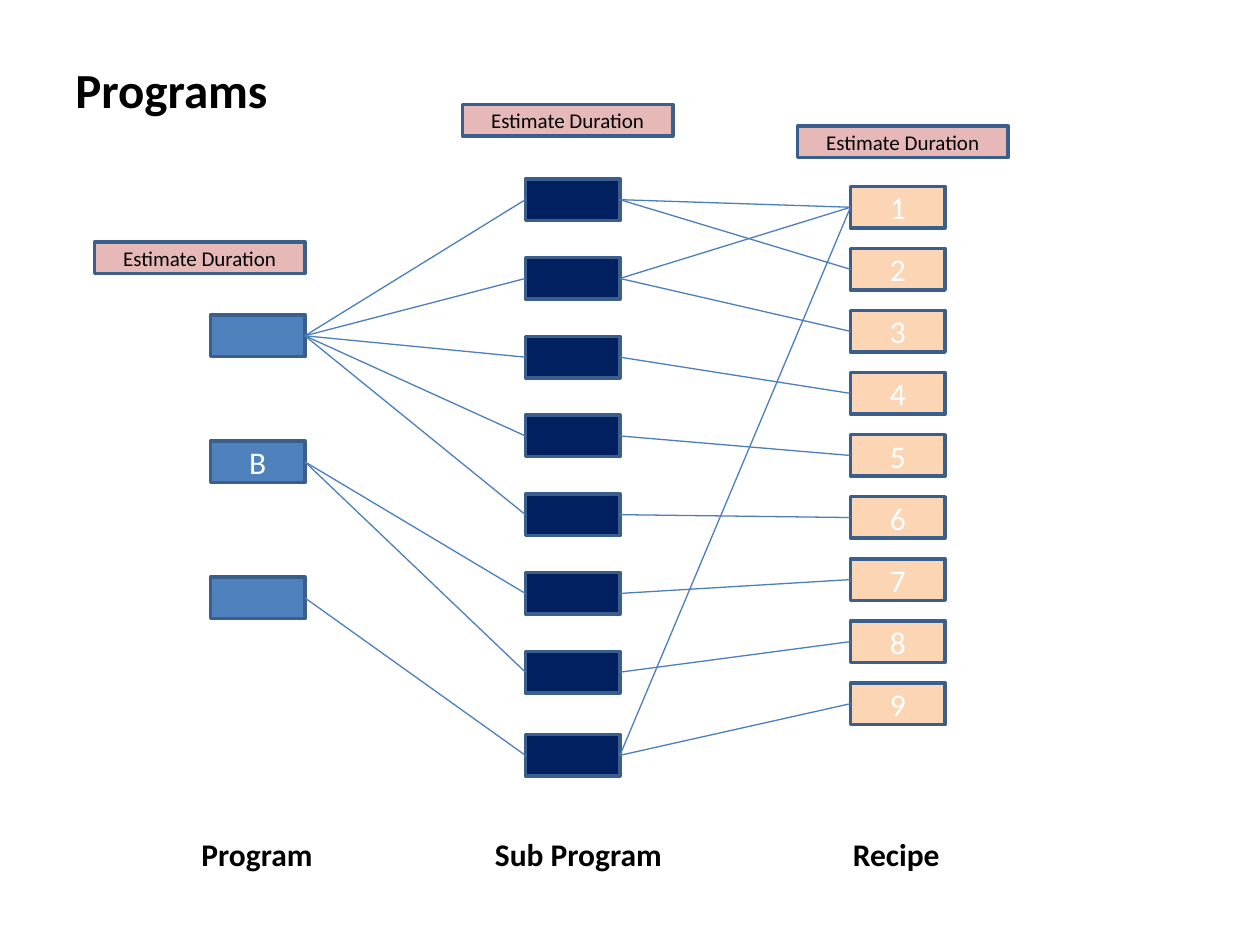
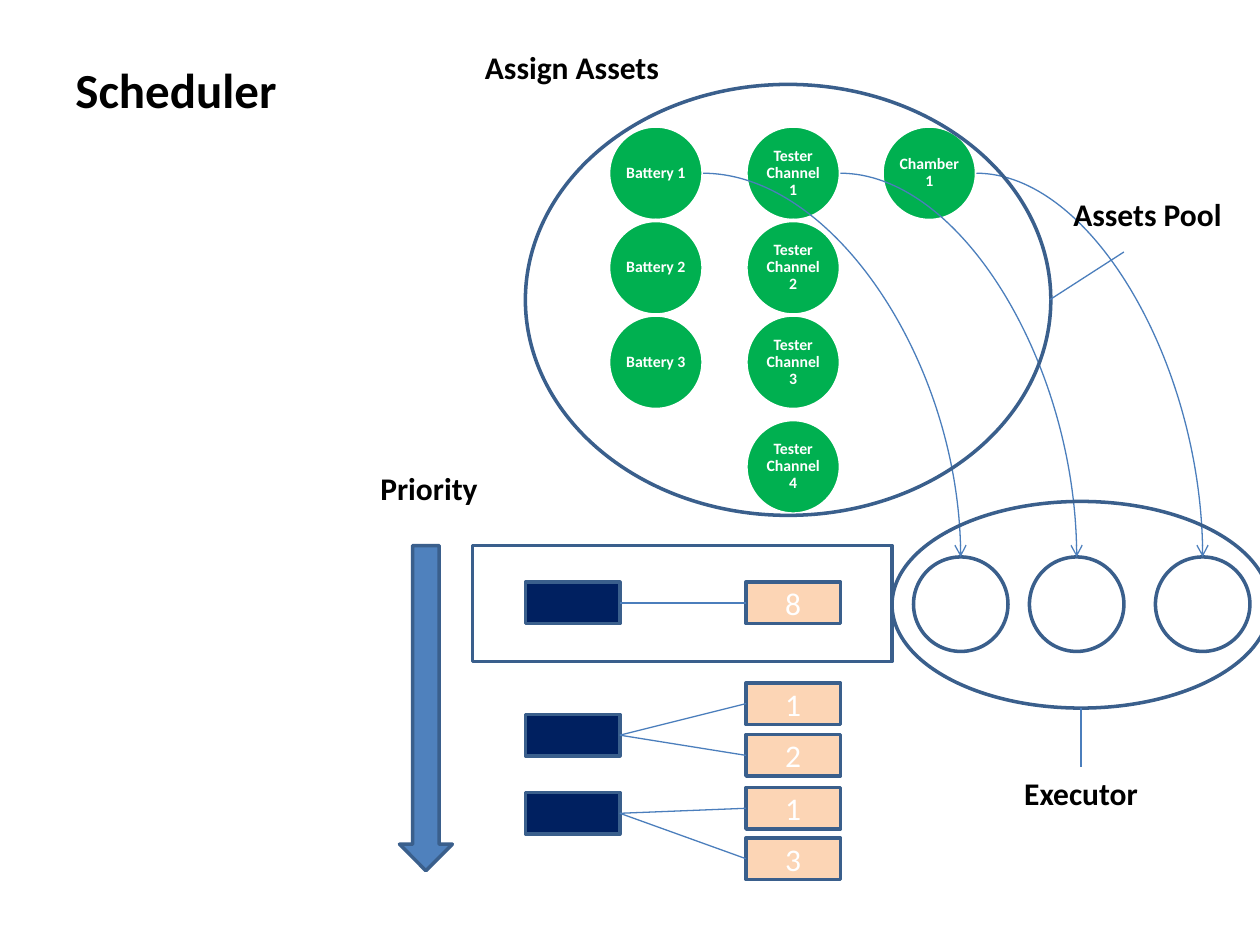
from lxml.etree import SubElement
from pptx import Presentation
from pptx.dml.color import RGBColor
from pptx.enum.shapes import MSO_CONNECTOR, MSO_SHAPE
from pptx.enum.text import MSO_ANCHOR, MSO_AUTO_SIZE, PP_ALIGN
from pptx.oxml.ns import qn
from pptx.util import Inches, Pt

# Shared look
BLACK = RGBColor(0x00, 0x00, 0x00)
WHITE = RGBColor(0xFF, 0xFF, 0xFF)
BLUE = RGBColor(0x4F, 0x81, 0xBD)
NAVY = RGBColor(0x00, 0x20, 0x60)
PEACH = RGBColor(0xFC, 0xD5, 0xB5)
PINK = RGBColor(0xE6, 0xB9, 0xB8)
GREEN = RGBColor(0x00, 0xB0, 0x50)
EDGE = RGBColor(0x3A, 0x5F, 0x8C)
LINK = RGBColor(0x4B, 0x7E, 0xBC)
FONT = "Calibri"
BOX_W, BOX_H, CIRCLE = 0.75, 0.33, 0.75
LEFT, RIGHT = 1, 3  # connection sites of a rectangle
TITLE = {"size": Pt(28), "bold": True}
LABEL = {"size": Pt(18), "bold": True}
NUMBER = {"size": Pt(18)}
SMALL = {"size": Pt(12)}
ASSET = {"size": Pt(9), "bold": True}

# Programs slide: boxes by column, and which box leads to which
PROGRAM_X, SUB_X, RECIPE_X = 1.67, 4.17, 6.75
PROGRAMS = [("", 2.5), ("B", 3.5), ("", 4.58)]
SUB_COUNT, SUB_TOP, SUB_STEP, LAST_SUB_Y = 8, 1.42, 0.625, 5.83
RECIPE_COUNT, RECIPE_TOP, RECIPE_STEP = 9, 1.48, 0.4925
SUBS_OF_PROGRAM = [(1, 2, 3, 4, 5), (6, 7), (8,)]
RECIPES_OF_SUB = [(1, 2), (1, 3), (4,), (5,), (6,), (7,), (8,), (1, 9)]
COLUMN_LABELS = [("Program", 1.5, 1.09), ("Sub Program", 3.83, 1.54),
                 ("Recipe", 6.67, 0.89)]
ESTIMATES = [(0.75, 1.92), (3.67, 0.83), (6.33, 1)]

# Scheduler slide: queue of (sub program y, [(recipe, y)])
QUEUE_X = 5.92
QUEUE = [(4.62, [("8", 4.62)]),
         (5.67, [("1", 5.42), ("2", 5.83)]),
         (6.29, [("1", 6.25), ("3", 6.65)])]
ASSET_ROWS = [1, 1.75, 2.5, 3.33]
ASSET_COLUMNS = [
    (4.83, ["Battery 1", "Battery 2", "Battery 3"]),
    (5.92, [f"Tester Channel {n}" for n in range(1, 5)]),
    (7, ["Chamber 1"]),
]
SLOT_XS, SLOT_Y = [7.25, 8.17, 9.17], 4.42
SCHEDULER_LABELS = [("Assign Assets", 3.75, 0.33, 1.59),
                    ("Priority", 2.92, 3.67, 0.98),
                    ("Executor", 8.03, 6.09, 1.11),
                    ("Assets Pool", 8.42, 1.5, 1.39)]
OUTLINES = [(MSO_SHAPE.RECTANGLE, 3.75, 4.33, 3.33, 0.92),   # running task
            (MSO_SHAPE.OVAL, 7.08, 3.98, 3, 1.64),           # executor
            (MSO_SHAPE.OVAL, 4.17, 0.67, 4.17, 3.42)]        # assets pool
POINTERS = [(8.58, 5.62, 8.58, 6.09), (8.33, 2.38, 8.92, 2)]


def write(tf, text, color, style):
    """Put one run of formatted text in a frame and return its paragraph."""
    p = tf.paragraphs[0]
    r = p.add_run()
    r.text = text
    for name, value in {"name": FONT, **style}.items():
        setattr(r.font, name, value)
    r.font.color.rgb = color
    return p


def add_label(s, text, x, y, w, h=0.4, style=LABEL):
    """Add a bold black text box that fits its text."""
    tf = s.shapes.add_textbox(*map(Inches, (x, y, w, h))).text_frame
    tf.word_wrap = False
    tf.auto_size = MSO_AUTO_SIZE.SHAPE_TO_FIT_TEXT
    write(tf, text, BLACK, style)


def add_shape(s, kind, x, y, w, h, fill=None, edge=EDGE):
    """Add a preset shape with a 2 pt edge; no fill unless one is given."""
    sp = s.shapes.add_shape(kind, *map(Inches, (x, y, w, h)))
    sp.shadow.inherit = False
    if fill is None:
        sp.fill.background()
    else:
        sp.fill.solid()
        sp.fill.fore_color.rgb = fill
    sp.line.color.rgb = edge
    sp.line.width = Pt(2)
    return sp


def write_centred(sp, text, color, style):
    """Write text in the middle of a shape and return its paragraph."""
    sp.text_frame.vertical_anchor = MSO_ANCHOR.MIDDLE
    sp.text_frame.word_wrap = True
    p = write(sp.text_frame, text, color, style)
    p.alignment = PP_ALIGN.CENTER
    return p


def add_box(s, x, y, fill, text=""):
    """Add a program, sub program or recipe box."""
    sp = add_shape(s, MSO_SHAPE.RECTANGLE, x, y, BOX_W, BOX_H, fill)
    if text:
        write_centred(sp, text, WHITE, NUMBER)
    return sp


def add_line(s, x1, y1, x2, y2, kind=MSO_CONNECTOR.STRAIGHT):
    """Add a thin blue connector without shadow."""
    cn = s.shapes.add_connector(kind, *map(Inches, (x1, y1, x2, y2)))
    cn.line.color.rgb = LINK
    cn.line.width = Pt(0.75)
    SubElement(cn._element.spPr, qn("a:effectLst"))
    return cn


def link(s, left_box, right_box):
    """Glue a line from the left edge of one box to the right edge of another."""
    cn = add_line(s, 0, 0, 1, 1)
    cn.begin_connect(right_box, LEFT)
    cn.end_connect(left_box, RIGHT)


def add_curve(s, x1, y1, x2, y2):
    """Add a quarter curve that ends in an open arrowhead."""
    cn = add_line(s, x1, y1, x2, y2, MSO_CONNECTOR.CURVE)
    spPr = cn._element.spPr
    spPr.find(qn("a:prstGeom")).set("prst", "curvedConnector2")
    SubElement(spPr.find(qn("a:ln")), qn("a:tailEnd"), type="arrow")


def add_asset(s, x, y, text):
    """Add a green asset circle."""
    sp = add_shape(s, MSO_SHAPE.OVAL, x, y, CIRCLE, CIRCLE, GREEN, WHITE)
    for side in ("left", "right", "top", "bottom"):
        setattr(sp.text_frame, f"margin_{side}", Inches(0.03))
    write_centred(sp, text, WHITE, ASSET).line_spacing = 0.9


def add_slide(prs, title, width):
    """Add a blank slide with its title."""
    s = prs.slides.add_slide(prs.slide_layouts[6])
    add_label(s, title, 0.5, 0.42, width, 0.57, TITLE)
    return s


def build_programs(prs):
    """Show how programs split into sub programs and recipes."""
    s = add_slide(prs, "Programs", 1.74)
    sub_ys = [SUB_TOP + i * SUB_STEP for i in range(SUB_COUNT - 1)] + [LAST_SUB_Y]
    programs = [add_box(s, PROGRAM_X, y, BLUE, text) for text, y in PROGRAMS]
    subs = [add_box(s, SUB_X, y, NAVY) for y in sub_ys]
    recipes = [add_box(s, RECIPE_X, RECIPE_TOP + i * RECIPE_STEP, PEACH, str(i + 1))
               for i in range(RECIPE_COUNT)]
    for boxes, targets, table in ((programs, subs, SUBS_OF_PROGRAM),
                                  (subs, recipes, RECIPES_OF_SUB)):
        for box, numbers in zip(boxes, table):
            for n in numbers:
                link(s, box, targets[n - 1])
    for text, x, w in COLUMN_LABELS:
        add_label(s, text, x, 6.58, w)
    for x, y in ESTIMATES:
        sp = add_shape(s, MSO_SHAPE.RECTANGLE, x, y, 1.67, 0.25, PINK)
        write_centred(sp, "Estimate Duration", BLACK, SMALL)


def build_scheduler(prs):
    """Show the queue by priority and the assets given to the executor."""
    s = add_slide(prs, "Scheduler", 1.82)
    for y, recipes in QUEUE:
        sub = add_box(s, SUB_X, y, NAVY)
        for text, recipe_y in recipes:
            link(s, sub, add_box(s, QUEUE_X, recipe_y, PEACH, text))
    for x, names in ASSET_COLUMNS:
        for y, name in zip(ASSET_ROWS, names):
            add_asset(s, x, y, name)
    add_shape(s, MSO_SHAPE.DOWN_ARROW, 3.17, 4.33, 0.42, 2.58, BLUE)
    for (x, _), slot_x in zip(ASSET_COLUMNS, SLOT_XS):
        add_shape(s, MSO_SHAPE.OVAL, slot_x, SLOT_Y, CIRCLE, CIRCLE)
        add_curve(s, x + CIRCLE, ASSET_ROWS[0] + CIRCLE / 2,
                  slot_x + CIRCLE / 2, SLOT_Y)
    for outline in OUTLINES:
        add_shape(s, *outline)
    for ends in POINTERS:
        add_line(s, *ends)
    for text, x, y, w in SCHEDULER_LABELS:
        add_label(s, text, x, y, w)


prs = Presentation()
prs.slide_width, prs.slide_height = Inches(10), Inches(7.5)
build_programs(prs)
build_scheduler(prs)
prs.save("out.pptx")
